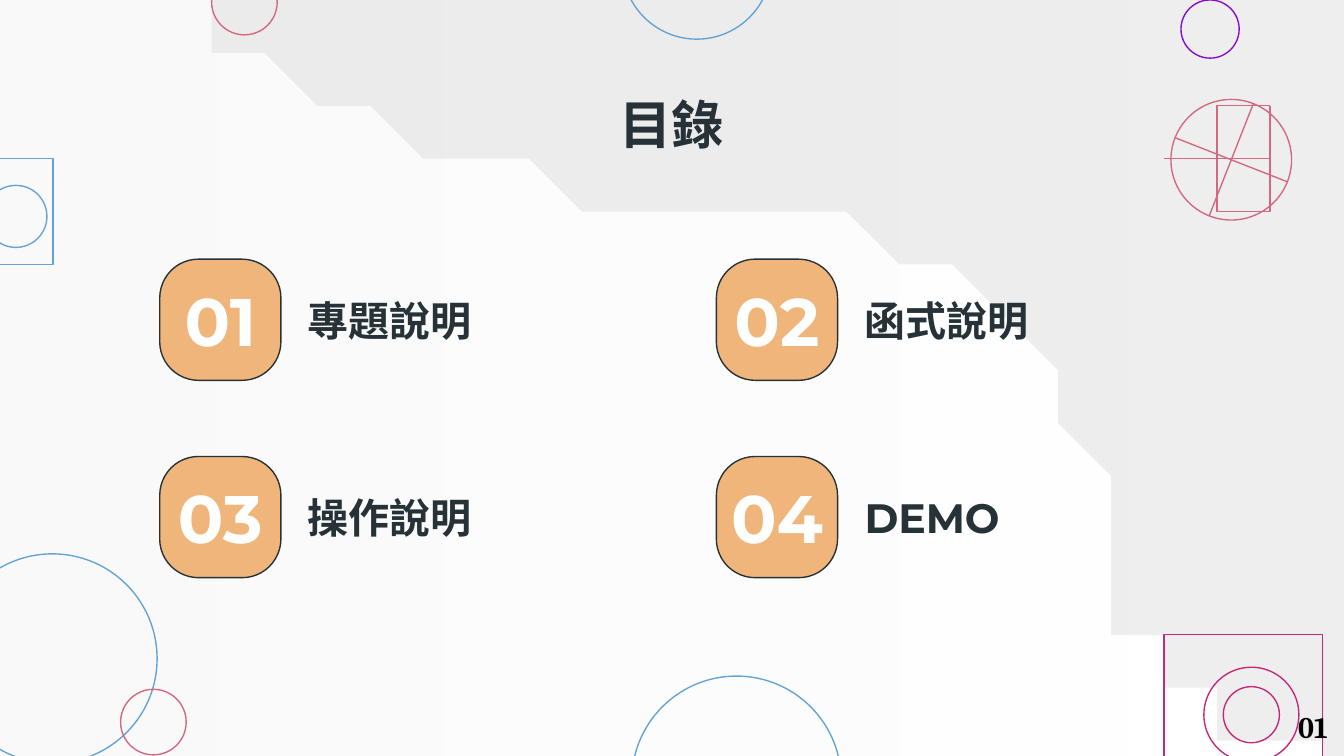
import math

import pptx
import pptx.dml.color
import pptx.enum.shapes
import pptx.enum.text
import pptx.oxml.ns
import pptx.oxml.xmlchemy
import pptx.util
from lxml import etree

Cm, Pt = pptx.util.Cm, pptx.util.Pt
RGB = pptx.dml.color.RGBColor.from_string
KIND = pptx.enum.shapes.MSO_SHAPE
ALIGN = pptx.enum.text.PP_ALIGN
qn = pptx.oxml.ns.qn

HUES = {
    "white": "FFFFFF", "pale": "F3F3F3", "gray": "D6D7D7", "blue": "63A4D5",
    "violet": "860CD1", "rose": "D36980", "pink": "C52878",
    "orange": "F0B57A", "ink": "263238", "black": "000000",
}

deck = pptx.Presentation()
deck.slide_width, deck.slide_height = Cm(25.4), Cm(14.29)
slide = deck.slides.add_slide(deck.slide_layouts[6])
shapes = slide.shapes


def curve(knots, steps=24):
    """Sample a chain of cubic Beziers: a start, then three knots per piece."""
    dots = [knots[0]]
    for i in range(0, len(knots) - 1, 3):
        for n in range(1, steps + 1):
            t = n / steps
            mix = ((1 - t) ** 3, 3 * t * (1 - t) ** 2, 3 * t * t * (1 - t), t ** 3)
            dots.append(tuple(sum(m * k[a] for m, k in zip(mix, knots[i:i + 4]))
                              for a in (0, 1)))
    return dots


def write(text, box, hue, form, align=ALIGN.CENTER, wrap=True, pad=0.25):
    frame = shapes.add_textbox(*map(Cm, box)).text_frame
    layout = {
        "word_wrap": wrap, "vertical_anchor": pptx.enum.text.MSO_ANCHOR.MIDDLE,
        "margin_left": Cm(0.25), "margin_right": Cm(0.25),
        "margin_top": Cm(pad), "margin_bottom": Cm(pad),
    }
    for key, value in layout.items():
        setattr(frame, key, value)
    line = frame.paragraphs[0]
    line.alignment = align
    run = line.add_run()
    run.text = text
    for key, value in form.items():
        setattr(run.font, key, value)
    run.font.color.rgb = RGB(HUES[hue])


# Backdrop: a faint gradient sheet under a gray wave
sheet = shapes.add_shape(KIND.RECTANGLE, Cm(-0.18), Cm(-0.18), Cm(25.76), Cm(14.65))
sheet.fill.gradient()
sheet.fill.gradient_angle = 180
for stop, hue in zip(sheet.fill.gradient_stops, ("white", "pale")):
    stop.color.rgb = RGB(HUES[hue])

edge = curve([
    (25.73, 14.94), (24.92, 14.68), (23.85, 14.22), (22.71, 13.36),
    (20.32, 11.56), (21.62, 9.37), (19.23, 6.25),
    (16.81, 3.12), (12.75, 4.95), (7.09, 2.26),
    (4.47, 1.02), (3.25, 0.25), (2.72, -0.23),
])
pen = shapes.build_freeform(26.11, -0.64, scale=Cm(1))
pen.add_line_segments([(26.11, 14.94)] + edge + [(2.72, -0.64)], close=True)
wave = pen.convert_to_shape()
wave.fill.solid()
wave.fill.fore_color.rgb = RGB(HUES["gray"])

for part in (sheet, wave):
    part.shadow.inherit = False
    part.line.fill.background()
    for tint in part._element.iter(qn("a:srgbClr")):
        etree.SubElement(tint, qn("a:alpha")).set("val", "41000")

# Outlined art: circles, gears and a globe
rings = [  # centre x, centre y, radius, colour
    (0.99, 12.45, 1.98, "blue"), (22.87, 0.55, 0.55, "violet"),
    (4.62, 0.04, 0.62, "rose"), (13.17, -0.67, 1.41, "blue"),
    (13.92, 14.76, 1.98, "blue"), (2.9, 13.65, 0.62, "rose"),
    (23.65, 13.51, 0.53, "pink"), (23.27, 3.02, 1.14, "rose"),
]
paths = []  # points, closed, colour

for x, y, size, hue in [(0.3, 4.09, 1.15, "blue"), (23.65, 13.51, 1.76, "pink")]:
    rings.append((x, y, 0.51 * size, hue))
    rim = []
    for tooth in range(12):
        for turn, reach in [(-7.5, 0.92), (-4.5, 1), (4.5, 1), (7.5, 0.92),
                            (12, 0.92), (17, 0.92)]:
            angle = math.radians(30 * tooth + 18 + turn)
            rim.append((x + reach * size * math.cos(angle),
                        y + reach * size * math.sin(angle)))
    paths.append((rim, True, hue))

arcs = [
    [(-0.58, 0.99), (-0.58, 0.99), (-0.81, 0.56), (-0.51, -0.2),
     (-0.2, -0.94), (0.25, -1.12), (0.25, -1.12)],
    [(0.56, 0.99), (0.41, 0.84), (0.18, 0.64), (-0.2, 0.48),
     (-0.58, 0.36), (-0.86, 0.33), (-1.07, 0.36)],
]
for arc in arcs:
    for side in (1, -1):
        paths.append(([(23.27 + side * x, 3.02 + side * y) for x, y in curve(arc)],
                      False, "rose"))

art = []
for x, y, size, hue in rings:
    ring = shapes.add_shape(KIND.OVAL, Cm(x - size), Cm(y - size),
                            Cm(2 * size), Cm(2 * size))
    art.append((ring, hue))
for dots, closed, hue in paths:
    pen = shapes.build_freeform(*dots[0], scale=Cm(1))
    pen.add_line_segments(dots[1:], close=closed)
    art.append((pen.convert_to_shape(), hue))
for item, hue in art:
    item.shadow.inherit = False
    item.fill.background()
    item.line.color.rgb = RGB(HUES[hue])
    item.line.width = Pt(0.75)

for x, y in [(0.42, -1.07), (1.07, 0.42)]:
    axis = shapes.add_connector(pptx.enum.shapes.MSO_CONNECTOR.STRAIGHT,
                                Cm(23.27 + x), Cm(3.02 + y), Cm(23.27 - x), Cm(3.02 - y))
    axis.line.color.rgb = RGB(HUES["rose"])
    axis.line.width = Pt(0.75)
    etree.SubElement(axis._element.spPr, qn("a:effectLst"))

# Contents: four numbered cards in a two by two grid
topics = ["專題說明", "函式說明", "操作說明", "DEMO"]
for i, topic in enumerate(topics):
    x, y = 3.02 + i % 2 * 10.52, 4.9 + i // 2 * 3.73
    card = shapes.add_shape(KIND.ROUNDED_RECTANGLE, Cm(x), Cm(y), Cm(2.29), Cm(2.29))
    card.adjustments[0] = 0.32
    card.shadow.inherit = False
    card.fill.solid()
    card.fill.fore_color.rgb = RGB(HUES["orange"])
    card.line.color.rgb = RGB(HUES["ink"])
    card.line.width = Pt(0.75)
    write(f"{i + 1:02}", (x, y + 0.25, 2.29, 1.78), "white",
          {"size": Pt(36), "name": "Montserrat", "bold": True})
    face = "Montserrat" if topic.isascii() else "Arial"
    write(topic, (x + 2.55, y, 7.16, 2.29), "ink",
          {"size": Pt(22), "name": face, "bold": True}, ALIGN.LEFT)

write("目錄", (1.98, 1.83, 21.44, 1.02), "ink",
      {"size": Pt(28), "name": "Arial", "bold": True})
write("01", (24.23, 13.26, 1.17, 0.94), "black",
      {"size": Pt(16), "name": "Cambria", "bold": True}, wrap=False, pad=0.13)

deck.save("out.pptx")
